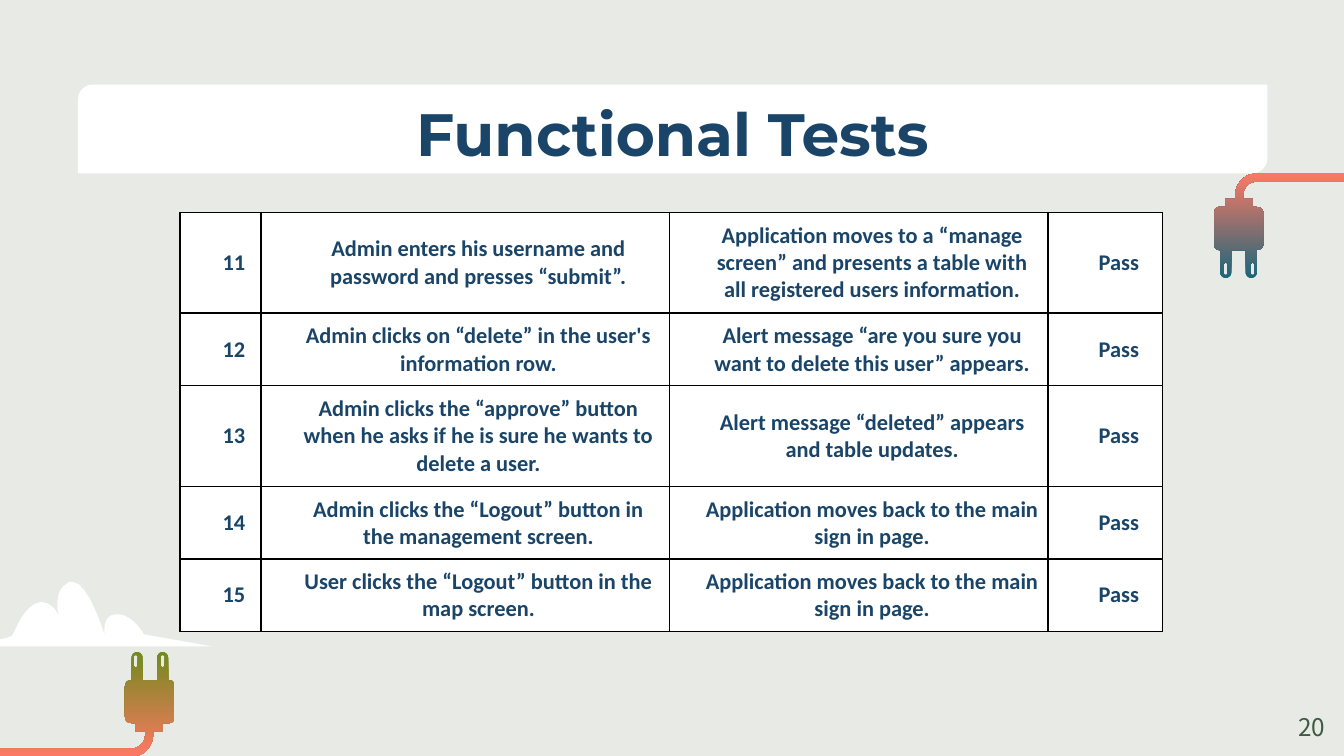
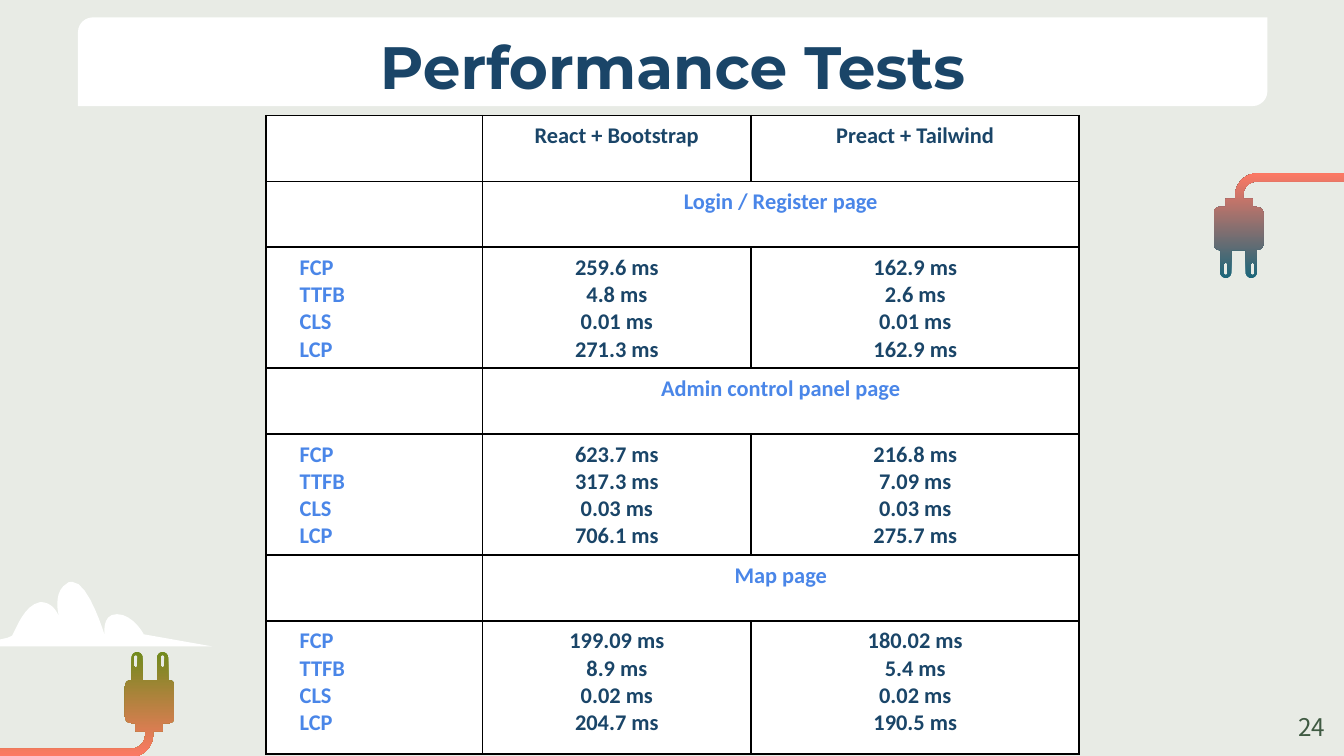
from lxml.etree import SubElement
from pptx import Presentation
from pptx.dml.color import RGBColor
from pptx.enum.shapes import MSO_SHAPE
from pptx.enum.text import MSO_ANCHOR, PP_ALIGN
from pptx.oxml.ns import qn
from pptx.util import Inches, Pt

# Shared colours and text formats
BACKGROUND, WHITE, BLACK = "E8EBE5", "FFFFFF", "000000"
NAVY, BLUE, GREEN = "1A4568", "4A86E8", "3F5A42"
OLIVE, TEAL, CORAL = "718A1D", "1B667A", "FD7964"
TITLE_FONT = {"name": "Montserrat", "size": Pt(32), "bold": True}
CELL_FONT = {"name": "Calibri", "size": Pt(12), "bold": True}
NUMBER_FONT = {"name": "Noto Sans CJK KR", "size": Pt(13)}

# Boxes are left, top, width, height in inches
BAND_SIZE = (8.85, 0.66)
LEFT_PLUG_BOX = (-2.23, 4.85, 3.53, 0.78)
RIGHT_PLUG_BOX = (9.03, 1.29, 3.53, 0.78)
CLOUD_BOX = (-0.43, 4.33, 2.01, 0.48)
NUMBER_BOX = (9.36, 5.19, 0.6, 0.43)

# Contours: a pair is a straight step, six values are a cubic curve
PLUG_BODY = [
    (3.25, 0), (3.27, 0, 3.29, 0.02, 3.29, 0.04), (3.29, 0.21), (3.4, 0.21),
    (3.4, 0.04), (3.4, 0.02, 3.42, 0, 3.44, 0), (3.46, 0, 3.48, 0.02, 3.48, 0.04),
    (3.48, 0.21), (3.49, 0.21), (3.51, 0.21, 3.53, 0.23, 3.53, 0.26),
    (3.53, 0.48), (3.53, 0.51, 3.51, 0.53, 3.49, 0.53), (3.44, 0.53),
    (3.44, 0.59), (3.37, 0.59), (3.37, 0.62), (3.37, 0.7, 3.3, 0.78, 3.21, 0.78),
    (0.2, 0.78), (0.09, 0.78, 0, 0.69, 0, 0.58), (0, 0.2), (0.06, 0.2),
    (0.06, 0.58), (0.06, 0.66, 0.12, 0.72, 0.2, 0.72), (3.21, 0.72),
    (3.27, 0.72, 3.31, 0.67, 3.31, 0.62), (3.31, 0.59), (3.24, 0.59),
    (3.24, 0.53), (3.21, 0.53), (3.18, 0.53, 3.16, 0.51, 3.16, 0.48),
    (3.16, 0.26), (3.16, 0.23, 3.18, 0.21, 3.21, 0.21), (3.21, 0.04),
    (3.21, 0.02, 3.23, 0, 3.25, 0),
]
CLOUD = [
    (0.97, 0), (1.09, 0, 1.21, 0.4, 1.21, 0.4), (1.21, 0.4, 1.18, 0.24, 1.3, 0.24),
    (1.42, 0.24, 1.5, 0.39, 1.5, 0.39), (2.01, 0.48), (0, 0.48),
    (0, 0.48, 0.49, 0.44, 0.52, 0.4), (0.55, 0.35, 0.61, 0.17, 0.73, 0.15),
    (0.81, 0.15, 0.85, 0.21, 0.87, 0.26), (0.85, 0.19, 0.84, 0.06, 0.93, 0.01),
    (0.94, 0, 0.95, 0, 0.97, 0),
]

FUNCTIONAL_TESTS = [
    ("11", "Admin enters his username and password and presses “submit”.",
     "Application moves to a “manage screen” and presents a table with all "
     "registered users information."),
    ("12", "Admin clicks on “delete” in the user's information row.",
     "Alert message “are you sure you want to delete this user” appears."),
    ("13", "Admin clicks the “approve” button when he asks if he is sure he wants "
     "to delete a user.", "Alert message “deleted” appears and table updates."),
    ("14", "Admin clicks the “Logout” button in the management screen.",
     "Application moves back to the main sign in page."),
    ("15", "User clicks the “Logout” button in the map screen.",
     "Application moves back to the main sign in page."),
]
LIBRARIES = ("React + Bootstrap", "Preact + Tailwind")
METRICS = ("FCP", "TTFB", "CLS", "LCP")
PAGE_TIMES = {
    "Login / Register page": [("259.6", "4.8", "0.01", "271.3"),
                              ("162.9", "2.6", "0.01", "162.9")],
    "Admin control panel page": [("623.7", "317.3", "0.03", "706.1"),
                                 ("216.8", "7.09", "0.03", "275.7")],
    "Map page": [("199.09", "8.9", "0.02", "204.7"),
                 ("180.02", "5.4", "0.02", "190.5")],
}


def color(value):
    return RGBColor.from_string(value)


def fill_solid(target, value):
    target.fill.solid()
    target.fill.fore_color.rgb = color(value)


def set_format(target, values):
    for name, value in values.items():
        setattr(target, name, value)


def even_margins(inset):
    sides = ("margin_left", "margin_top", "margin_right", "margin_bottom")
    return dict.fromkeys(sides, Inches(inset))


def write_text(frame, lines, font, text_color, align, indent=0):
    frame.word_wrap = True
    frame.text = "\n".join(lines)
    for paragraph in frame.paragraphs:
        paragraph.alignment = align
        if indent:
            properties = paragraph._p.get_or_add_pPr()
            properties.set("marL", str(Inches(indent)))
            properties.set("indent", "0")
        set_format(paragraph.font, font)
        paragraph.font.color.rgb = color(text_color)


def add_text(slide, box, text, font, text_color, align, anchor):
    frame = slide.shapes.add_textbox(*map(Inches, box)).text_frame
    set_format(frame, even_margins(0.1) | {"vertical_anchor": anchor})
    write_text(frame, [text], font, text_color, align)


# Outlines
def flatten(contour, steps=8):
    """Turn a contour's curves into short straight steps."""
    points = [contour[0]]
    for segment in contour[1:]:
        if len(segment) == 2:
            points.append(segment)
            continue
        x0, y0 = points[-1]
        x1, y1, x2, y2, x3, y3 = segment
        for step in range(1, steps + 1):
            t = step / steps
            weights = ((1 - t) ** 3, 3 * t * (1 - t) ** 2, 3 * t * t * (1 - t), t ** 3)
            points.append(tuple(sum(weight * value for weight, value in zip(weights, axis))
                                for axis in ((x0, x1, x2, x3), (y0, y1, y2, y3))))
    return [(Inches(x), Inches(y)) for x, y in points]


def add_outline(slide, box, contours):
    first, *others = map(flatten, contours)
    builder = slide.shapes.build_freeform(*first[0], scale=1.0)
    builder.add_line_segments(first[1:], close=True)
    for points in others:
        builder.move_to(*points[0])
        builder.add_line_segments(points[1:], close=True)
    shape = builder.convert_to_shape(Inches(box[0]), Inches(box[1]))
    shape.shadow.inherit = False
    shape.line.fill.background()
    return shape


def prong_hole(center):
    left, right, top, bottom = center - 0.015, center + 0.015, 0.02, 0.12
    return [(left, 0.04), (left, top, right, top, right, 0.04),
            (right, 0.1), (right, bottom, left, bottom, left, 0.1)]


def add_plug(slide, box, prong_color, rotation):
    shape = add_outline(slide, box, [PLUG_BODY, prong_hole(3.24), prong_hole(3.44)])
    shape.rotation = rotation
    shape.fill.gradient()
    shape.fill.gradient_angle = 270
    for stop, value in zip(shape.fill.gradient_stops, (prong_color, CORAL)):
        stop.color.rgb = color(value)


# Parts found on every slide
def add_title(slide, left, top, title):
    band = slide.shapes.add_shape(MSO_SHAPE.ROUND_2_DIAG_RECTANGLE,
                                  *map(Inches, (left, top, *BAND_SIZE)))
    band.adjustments[0], band.adjustments[1] = 0.167, 0
    band.shadow.inherit = False
    fill_solid(band, WHITE)
    band.line.fill.background()
    add_text(slide, (left, top - 0.01, *BAND_SIZE), title, TITLE_FONT, NAVY,
             PP_ALIGN.CENTER, MSO_ANCHOR.TOP)


def add_base_slide(presentation, title, title_top, number):
    slide = presentation.slides.add_slide(presentation.slide_layouts[6])
    fill_solid(slide.background, BACKGROUND)
    add_title(slide, 0.58, title_top, title)
    add_plug(slide, LEFT_PLUG_BOX, OLIVE, 0)
    add_plug(slide, RIGHT_PLUG_BOX, TEAL, 180)
    fill_solid(add_outline(slide, CLOUD_BOX, [CLOUD]), WHITE)
    add_text(slide, NUMBER_BOX, number, NUMBER_FONT, GREEN,
             PP_ALIGN.RIGHT, MSO_ANCHOR.MIDDLE)
    return slide


# Tables
def add_borders(cell):
    properties = cell._tc.get_or_add_tcPr()
    for position, side in enumerate(("lnL", "lnR", "lnT", "lnB")):
        line = SubElement(properties, qn(f"a:{side}"), w=str(Pt(1)))
        SubElement(SubElement(line, qn("a:solidFill")), qn("a:srgbClr"), val=BLACK)
        properties.insert(position, line)


def add_grid(slide, left, top, columns, rows, inset, anchor):
    """Add an empty white table with black rules."""
    frame = slide.shapes.add_table(len(rows), len(columns), Inches(left), Inches(top),
                                   Inches(sum(columns)), Inches(sum(rows)))
    table = frame.table
    table.first_row = table.horz_banding = False
    for column, width in zip(table.columns, columns):
        column.width = Inches(width)
    for row, height in zip(table.rows, rows):
        row.height = Inches(height)
    for cell in table.iter_cells():
        set_format(cell, even_margins(inset) | {"vertical_anchor": anchor})
        fill_solid(cell, WHITE)
        add_borders(cell)
    return table


def add_functional_table(slide, left, top):
    heights = [0.75, 0.54, 0.75, 0.54, 0.54]
    table = add_grid(slide, left, top, [0.6, 3.04, 2.82, 0.85], heights,
                     0.07, MSO_ANCHOR.MIDDLE)
    for row, test in enumerate(FUNCTIONAL_TESTS):
        for column, text in enumerate((*test, "Pass")):
            write_text(table.cell(row, column).text_frame, [text], CELL_FONT, NAVY,
                       PP_ALIGN.CENTER, indent=0.2)


def add_performance_table(slide, left, top):
    heights = [0.49, 0.49, 0.86, 0.49, 0.86, 0.49, 0.99]
    table = add_grid(slide, left, top, [1.61, 2, 2.44], heights, 0.05, MSO_ANCHOR.TOP)

    def write(row, column, lines, text_color=NAVY, align=PP_ALIGN.CENTER, indent=0):
        write_text(table.cell(row, column).text_frame, lines, CELL_FONT, text_color,
                   align, indent)

    for column, library in enumerate(LIBRARIES, start=1):
        write(0, column, [library])
    # Each page has a heading row and a row of times
    for index, (page, times) in enumerate(PAGE_TIMES.items()):
        heading_row = 1 + 2 * index
        table.cell(heading_row, 1).merge(table.cell(heading_row, 2))
        write(heading_row, 1, [page], BLUE)
        write(heading_row + 1, 0, METRICS, BLUE, PP_ALIGN.LEFT, 0.2)
        for column, values in enumerate(times, start=1):
            write(heading_row + 1, column, [f"{value} ms" for value in values])


def main():
    presentation = Presentation()
    # Widescreen, 16 to 9
    presentation.slide_width = Inches(10)
    presentation.slide_height = Inches(10 * 9 / 16)
    functional = add_base_slide(presentation, "Functional Tests", 0.63, "20")
    add_functional_table(functional, 1.34, 1.58)
    performance = add_base_slide(presentation, "Performance Tests", 0.13, "24")
    add_performance_table(performance, 1.98, 0.86)
    presentation.save("out.pptx")


if __name__ == "__main__":
    main()
